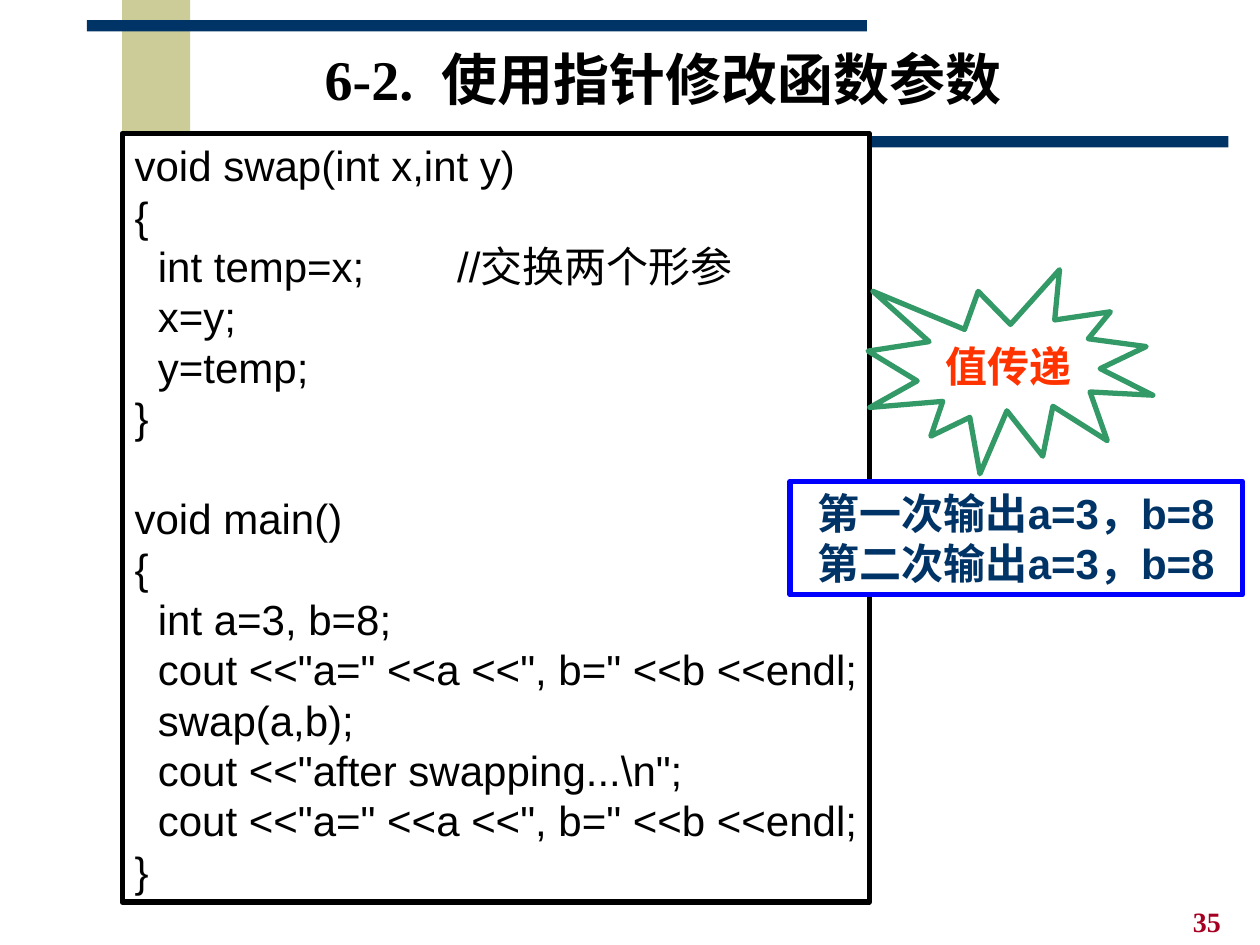
from lxml import etree
from pptx import Presentation
from pptx.dml.color import RGBColor
from pptx.enum.shapes import MSO_SHAPE
from pptx.enum.text import MSO_ANCHOR, MSO_AUTO_SIZE, PP_ALIGN
from pptx.oxml.ns import qn
from pptx.util import Inches, Pt

RECT, BURST = MSO_SHAPE.RECTANGLE, MSO_SHAPE.EXPLOSION1
TOP, MIDDLE = MSO_ANCHOR.TOP, MSO_ANCHOR.MIDDLE
LEFT, CENTER = PP_ALIGN.LEFT, PP_ALIGN.CENTER
FIXED = MSO_AUTO_SIZE.NONE
SANS, SERIF = "Arial", "Times New Roman"
COLORS = {
    "white": "FFFFFF", "black": "000000", "sand": "CCCC99", "navy": "003366",
    "wine": "A50021", "green": "339966", "red": "FF3300", "blue": "0000FF",
}
CODE = r'''void swap(int x,int y)
{
  int temp=x;	//交换两个形参
  x=y;
  y=temp;
}

void main()
{
  int a=3, b=8;
  cout <<"a=" <<a <<", b=" <<b <<endl;
  swap(a,b);
  cout <<"after swapping...\n";
  cout <<"a=" <<a <<", b=" <<b <<endl;
}'''


def color(name):
    return RGBColor.from_string(COLORS[name])


def add_tab(para, pos):
    """Add a left tab stop, pos inches from the text edge."""
    tabs = etree.SubElement(para._p.get_or_add_pPr(), qn("a:tabLst"))
    etree.SubElement(tabs, qn("a:tab"), pos=str(Inches(pos)), algn="l")


def write(shape, text, size, ink, face=SANS, bold=False, align=LEFT,
          anchor=TOP, wrap=False, tab=None):
    frame = shape.text_frame
    frame.auto_size = FIXED
    frame.word_wrap = wrap
    frame.vertical_anchor = anchor
    frame.text = text
    for para in frame.paragraphs:
        para.alignment = align
        if tab and "\t" in para.text:
            add_tab(para, tab)
        font = para.font
        font.name, font.size, font.bold = face, Pt(size), bold
        font.color.rgb = color(ink)


def add_block(slide, box, fill, line=None, kind=RECT):
    shape = slide.shapes.add_shape(kind, *map(Inches, box))
    shape.shadow.inherit = False
    shape.fill.solid()
    shape.fill.fore_color.rgb = color(fill)
    if line:
        shape.line.color.rgb = color(line)
        shape.line.width = Pt(3)
    else:
        shape.line.fill.background()
    return shape


def add_frame(slide, box):
    """Draw the sand band and the two offset bars of the header."""
    x, y, w, h = box
    bar_w, bar_h = 6.19, 0.09
    add_block(slide, (x + 0.28, y, 0.54, h - bar_h), "sand")
    add_block(slide, (x, y + 0.16, bar_w, bar_h), "navy")
    add_block(slide, (x + w - bar_w, y + h - bar_h, bar_w, bar_h), "navy")


def add_title(slide, box):
    title = slide.shapes.title
    title.left, title.top, title.width, title.height = map(Inches, box)
    write(title, "6-2.  使用指针修改函数参数", 32, "black", SERIF, True,
          CENTER, MIDDLE, True)
    title.text_frame.paragraphs[0].line_spacing = 0.85


def add_code(slide, box):
    block = add_block(slide, box, "white", "black")
    write(block, CODE, 24, "black", tab=2.56)


def add_result(slide, box):
    """Place the burst over the top of the output box."""
    x, y, w, h = box
    burst = add_block(slide, (x + 0.62, y, 2.26, 1.62), "white", "green", BURST)
    write(burst, "值传递", 24, "red", bold=True, align=CENTER, anchor=MIDDLE)
    out = add_block(slide, (x, y + h - 0.9, w, 0.9), "white", "blue")
    lines = [f"第{nth}次输出a=3，b=8" for nth in "一二"]
    write(out, "\n".join(lines), 24, "navy", bold=True, align=CENTER,
          anchor=MIDDLE)


def add_number(slide, box):
    label = slide.shapes.add_textbox(*map(Inches, box))
    write(label, "35", 16, "wine", SERIF, True, wrap=True)


def main():
    deck = Presentation()
    deck.slide_width, deck.slide_height = Inches(10), Inches(7.5)
    slide = deck.slides.add_slide(deck.slide_layouts[5])
    add_frame(slide, (0.69, 0, 9.06, 1.17))
    add_title(slide, (1.87, 0.34, 6.79, 0.64))
    add_number(slide, (9.37, 7.13, 0.63, 0.37))
    add_code(slide, (0.97, 1.06, 5.93, 6.1))
    add_result(slide, (6.27, 2.14, 3.59, 2.58))
    deck.save("out.pptx")


if __name__ == "__main__":
    main()
